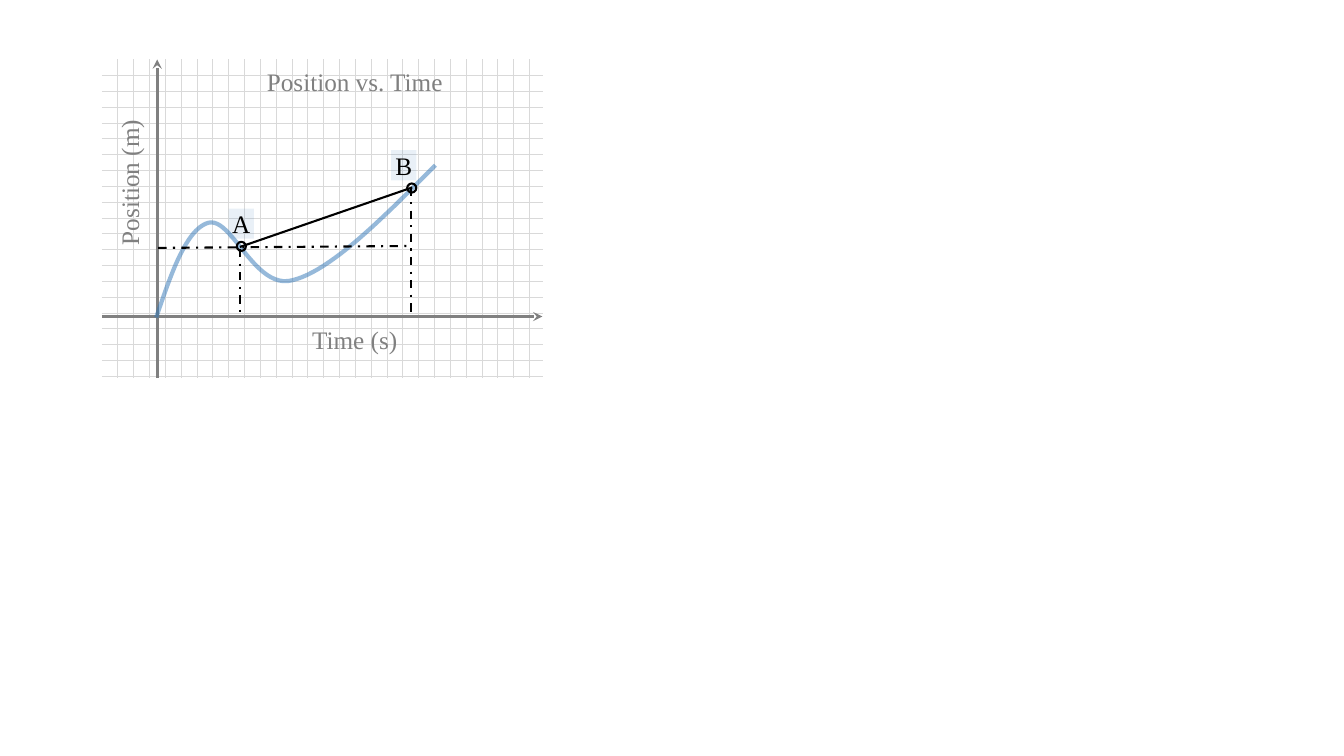
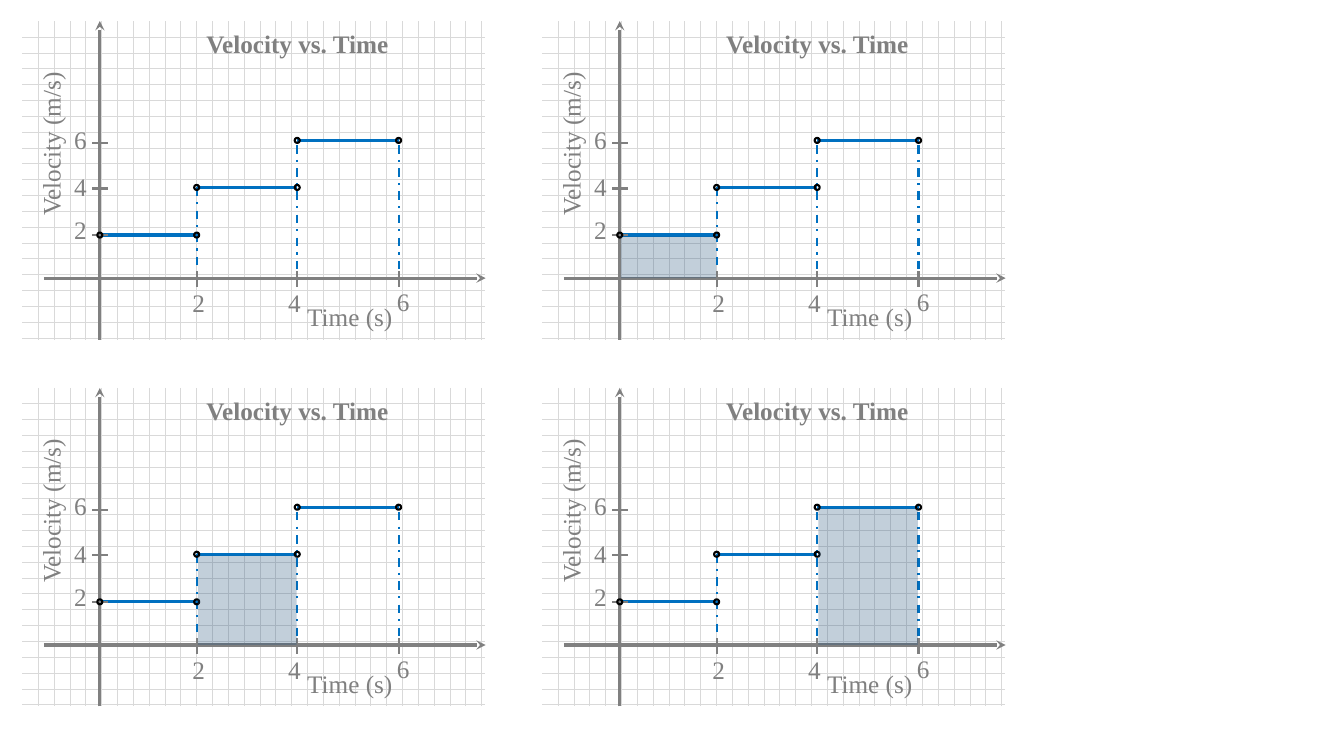
from lxml import etree
from pptx import Presentation
from pptx import util as u
from pptx.dml.color import RGBColor
from pptx.enum import dml, shapes, text
from pptx.oxml.ns import qn

# Shared style
FONT, FONT_SIZE = "Times New Roman", 18
GREY, GRID, WHITE, BLACK = "808080", "D9D9D9", "FFFFFF", "000000"
CURVE, STEP, AREA = "2E75B6", "0070C0", "1F4E79"
TEXT_HEIGHT = 21.6
GRAPH_HEIGHT, TIME_AXIS = 227.5, 183.6

# Velocity graph, measured from its top left corner
VELOCITY_AXIS = 55.4
TIMES = [VELOCITY_AXIS, 124.6, 196.4, 268.8]
LEVELS = [152.8, 118.8, 85.2]
TICKS = [152.8, 119.6, 87.1]
VELOCITY_LABEL_TOPS = [138.2, 107.3, 73.4]
TIME_LABELS = [(118.1, 190.1), (186.5, 190.1), (264.2, 189.4)]


def rgb(color):
    return RGBColor.from_string(color)


def set_alpha(shape, percent):
    for color in shape._element.spPr.iter(qn("a:srgbClr")):
        etree.SubElement(color, qn("a:alpha")).set("val", str(percent * 1000))


def add_line(slide, start, end, color, width, dashed=False, arrow=False):
    line = slide.shapes.add_connector(
        shapes.MSO_CONNECTOR.STRAIGHT, *(u.Pt(v) for v in (*start, *end)))
    line.line.color.rgb = rgb(color)
    line.line.width = u.Pt(width)
    if dashed:
        line.line.dash_style = dml.MSO_LINE.DASH_DOT
    properties = line._element.spPr
    if arrow:
        outline = properties.find(qn("a:ln"))
        etree.SubElement(outline, qn("a:tailEnd")).set("type", "stealth")
    etree.SubElement(properties, qn("a:effectLst"))


def add_preset(slide, kind, left, top, width, height):
    shape = slide.shapes.add_shape(
        kind, *(u.Pt(v) for v in (left, top, width, height)))
    shape.shadow.inherit = False
    return shape


def add_area(slide, left, top, width, height, color, percent):
    area = add_preset(slide, shapes.MSO_SHAPE.RECTANGLE, left, top, width, height)
    area.fill.solid()
    area.fill.fore_color.rgb = rgb(color)
    area.line.fill.background()
    set_alpha(area, percent)
    return area


def add_marker(slide, x, y, size):
    marker = add_preset(slide, shapes.MSO_SHAPE.OVAL,
                        x - size / 2, y - size / 2, size, size)
    marker.fill.background()
    marker.line.color.rgb = rgb(BLACK)
    marker.line.width = u.Pt(1.5)


def write(shape, words, color, bold=False):
    frame = shape.text_frame
    frame.text = words
    frame.word_wrap = True
    frame.auto_size = text.MSO_AUTO_SIZE.SHAPE_TO_FIT_TEXT
    frame.margin_left = frame.margin_right = 0
    frame.margin_top = frame.margin_bottom = 0
    paragraph = frame.paragraphs[0]
    paragraph.alignment = text.PP_ALIGN.CENTER
    font = paragraph.runs[0].font
    font.name, font.size, font.bold = FONT, u.Pt(FONT_SIZE), bold
    font.color.rgb = rgb(color)


def add_label(slide, words, left, top, width, bold=False, rotation=0):
    label = slide.shapes.add_textbox(
        *(u.Pt(v) for v in (left, top, width, TEXT_HEIGHT)))
    label.rotation = rotation
    write(label, words, GREY, bold)


def add_point_name(slide, name, left, top):
    write(add_area(slide, left, top, 18, TEXT_HEIGHT, CURVE, 10), name, BLACK)


def add_axes(slide, left, top, width, axis_x, time_start, time_end):
    """Grid paper with its two arrows."""
    paper = add_preset(slide, shapes.MSO_SHAPE.RECTANGLE,
                       left, top, width, GRAPH_HEIGHT)
    paper.fill.patterned()
    paper.fill.pattern = dml.MSO_PATTERN.DOTTED_GRID
    paper.fill.fore_color.rgb = rgb(GRID)
    paper.fill.back_color.rgb = rgb(WHITE)
    paper.line.fill.background()
    add_line(slide, (left + axis_x, top + GRAPH_HEIGHT), (left + axis_x, top),
             GREY, 2.25, arrow=True)
    add_line(slide, (left + time_start, top + TIME_AXIS),
             (left + time_end, top + TIME_AXIS), GREY, 2.25, arrow=True)


def bezier(p0, p1, p2, p3, steps=24):
    for i in range(1, steps + 1):
        t = i / steps
        s = 1 - t
        yield tuple(s**3 * a + 3 * s * s * t * b + 3 * s * t * t * c + t**3 * d
                    for a, b, c, d in zip(p0, p1, p2, p3))


def add_curve(slide, start, segments):
    points, pen = [], start
    for segment in segments:
        points += bezier(pen, *segment)
        pen = segment[-1]
    builder = slide.shapes.build_freeform(u.Pt(start[0]), u.Pt(start[1]))
    builder.add_line_segments([(u.Pt(x), u.Pt(y)) for x, y in points], close=False)
    curve = builder.convert_to_shape()
    curve.shadow.inherit = False
    curve.fill.background()
    curve.line.color.rgb = rgb(CURVE)
    curve.line.width = u.Pt(3)
    set_alpha(curve, 50)


def position_slide(slide):
    left, top = 72.7, 42.5
    add_axes(slide, left, top, 315.4, 39.6, 0, 314.7)
    add_label(slide, "Time (s)", 158.4, 231.8, 190)
    add_label(slide, "Position (m)", 43.9, 119.5, 96.5, rotation=270)
    add_label(slide, "Position vs. Time", 158.4, 47.5, 190)
    add_curve(slide, (111.6, 226.8), [
        ((122.4, 195.1), (133.2, 163.4), (149, 159.1)),
        ((165.6, 154.8), (182.2, 207.4), (208.8, 200.2)),
        ((236.2, 193.7), (273.6, 155.5), (311, 118.1))])

    # Points A and B, their secant and their guides
    add_marker(slide, 172.4, 176, 6.5)
    add_marker(slide, 294.1, 134.3, 6.5)
    add_point_name(slide, "A", 163.4, 149)
    add_point_name(slide, "B", 279.4, 107.3)
    add_line(slide, (171.4, 176.4), (294.5, 133.9), BLACK, 1.5)
    for start, end in [((113, 177.1), (294.5, 175.7)),
                       ((293.8, 133.9), (293.8, 226.1)),
                       ((171.4, 177.8), (171.4, 226.1))]:
        add_line(slide, start, end, BLACK, 1.5, dashed=True)


def velocity_graph(slide, left, top, shaded=None):
    """Stepped graph; shaded is the number of the step with a filled area."""
    def at(x, y):
        return left + x, top + y

    add_axes(slide, left, top, 330.5, VELOCITY_AXIS, 15.5, 331)
    add_label(slide, "Time (s)", *at(164.9, 200.2), 138.2)
    add_label(slide, "Velocity (m/s)", *at(-41, 77), 122.4, rotation=270)
    add_label(slide, "Velocity vs. Time", *at(101.5, 5), 190, bold=True)

    # Steps and their guides
    guide_tops = [LEVELS[1], LEVELS[2] + 3.4, LEVELS[2] + 3.4]
    for start, end, level, guide in zip(TIMES, TIMES[1:], LEVELS, guide_tops):
        add_line(slide, at(end, guide), at(end, TIME_AXIS), STEP, 1.5, dashed=True)
        add_line(slide, at(start, level), at(end, level), STEP, 2.25)

    # Ticks and numbers
    for i, (tick, time) in enumerate(zip(TICKS, TIMES[1:])):
        number = str(2 * (i + 1))
        add_line(slide, at(VELOCITY_AXIS + 5.7, tick),
                 at(VELOCITY_AXIS - 5.7, tick), GREY, 1.5)
        add_line(slide, at(time, TIME_AXIS + 6.2),
                 at(time, TIME_AXIS - 5.2), GREY, 1.5)
        add_label(slide, number, *at(33.7, VELOCITY_LABEL_TOPS[i]), 15.8)
        add_label(slide, number, *at(*TIME_LABELS[i]), 15.8)

    # Step ends
    for start, end, level in zip(TIMES, TIMES[1:], LEVELS):
        for time in (start, end):
            add_marker(slide, *at(time, level), 3.6)

    if shaded is not None:
        start, end, level = TIMES[shaded], TIMES[shaded + 1], LEVELS[shaded]
        add_area(slide, *at(start + 0.8, level + 1), end - start - 1.2,
                 TIME_AXIS - level - 1, AREA, 27)


def main():
    deck = Presentation()
    deck.slide_width, deck.slide_height = u.Pt(960), u.Pt(540)
    blank = deck.slide_layouts[6]
    position_slide(deck.slides.add_slide(blank))

    velocities = deck.slides.add_slide(blank)
    for i, shaded in enumerate([None, 0, 1, 2]):
        row, column = divmod(i, 2)
        velocity_graph(velocities, 15.9 + 371.4 * column, 15.1 + 262 * row, shaded)
    deck.save("out.pptx")


if __name__ == "__main__":
    main()
